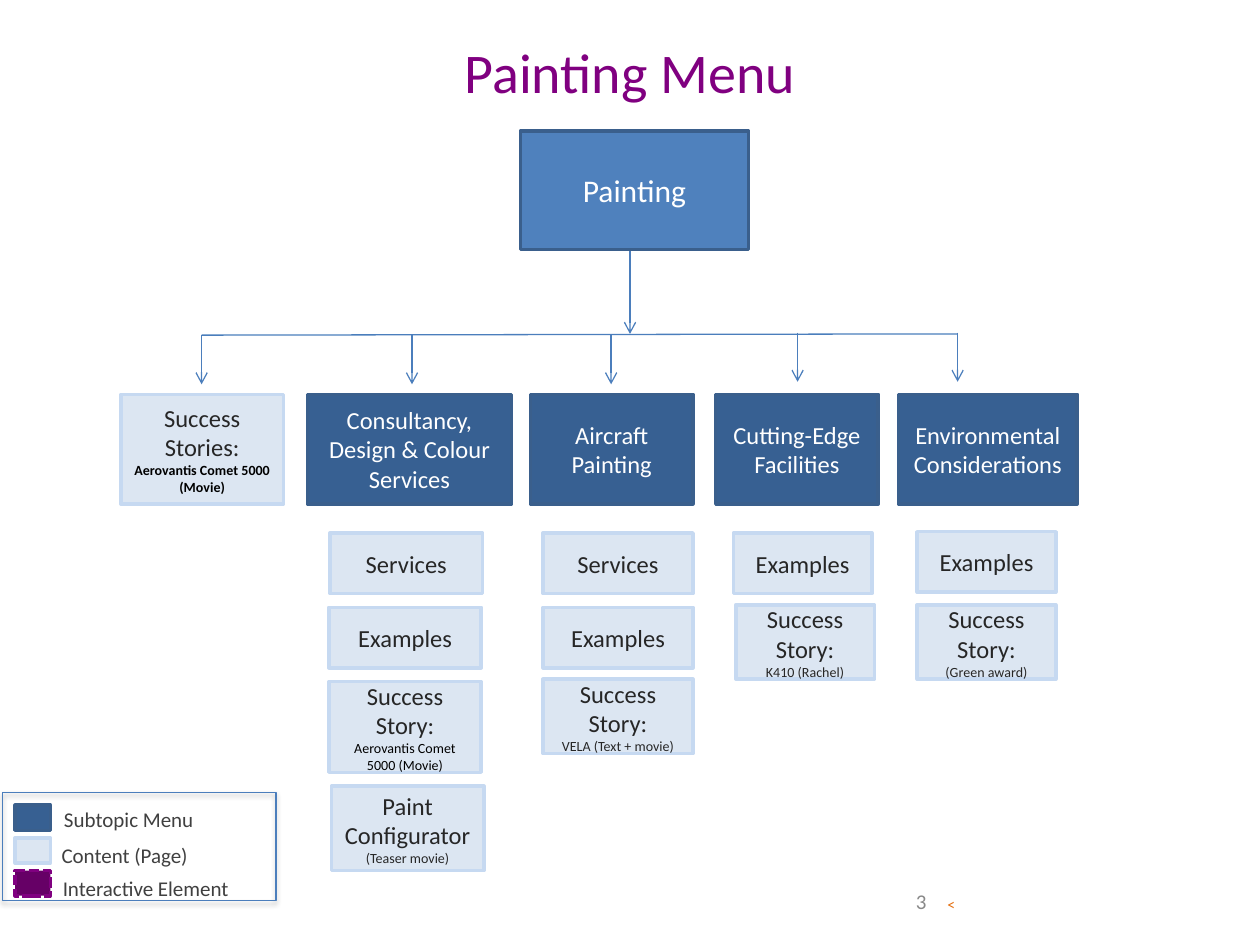
from pptx import Presentation
from pptx import util as u
from pptx.dml.color import RGBColor
from pptx.enum import dml, shapes, text
from pptx.oxml import parse_xml
from pptx.oxml.ns import nsdecls

WHITE = RGBColor(0xFF, 0xFF, 0xFF)
BLACK = RGBColor(0, 0, 0)
DARK_TEXT = RGBColor(0x26, 0x26, 0x26)
LEGEND_TEXT = RGBColor(0x40, 0x40, 0x40)
GREY = RGBColor(0x89, 0x89, 0x89)
ORANGE = RGBColor(0xE4, 0x6C, 0x0A)
PURPLE = RGBColor(0x80, 0x00, 0x80)
DEEP_PURPLE = RGBColor(0x66, 0x00, 0x66)
ROOT_BLUE = RGBColor(0x4F, 0x81, 0xBD)
MENU_BLUE = RGBColor(0x37, 0x60, 0x92)
MENU_EDGE = RGBColor(0x3A, 0x5F, 0x8C)
PAGE_BLUE = RGBColor(0xDC, 0xE6, 0xF2)
PAGE_EDGE = RGBColor(0xC6, 0xD9, 0xF1)
LINE_BLUE = RGBColor(0x4B, 0x7E, 0xBC)

ROOT = (ROOT_BLUE, MENU_EDGE)
MENU = (MENU_BLUE, MENU_EDGE)
PAGE = (PAGE_BLUE, PAGE_EDGE)
INTERACTIVE = (DEEP_PURPLE, PURPLE)

MENU_TOP, MENU_HEIGHT = 3.13, 0.87
FEATURED = "Aerovantis Comet 5000 (Movie)"

SUBTOPICS = [
    (2.44, 1.62, "Consultancy, Design & Colour Services"),
    (4.21, 1.29, "Aircraft Painting"),
    (5.68, 1.29, "Cutting-Edge Facilities"),
    (7.13, 1.42, "Environmental Considerations"),
]

SERVICES = [("Services", 14, DARK_TEXT)]
EXAMPLES = [("Examples", 14, DARK_TEXT)]


def story(detail, color=DARK_TEXT):
    return [("Success Story:", 14, DARK_TEXT), (detail, 8, color)]


PAGES = [
    (2.62, 4.23, 1.21, 0.48, SERVICES),
    (2.61, 4.82, 1.21, 0.48, EXAMPLES),
    (2.61, 5.41, 1.21, 0.72, story(FEATURED, BLACK)),
    (4.31, 4.23, 1.19, 0.48, SERVICES),
    (4.31, 4.82, 1.19, 0.48, EXAMPLES),
    (4.31, 5.39, 1.19, 0.59, story("VELA (Text + movie)")),
    (5.82, 4.23, 1.1, 0.48, EXAMPLES),
    (5.84, 4.8, 1.1, 0.59, story("K410 (Rachel)")),
    (7.28, 4.22, 1.1, 0.48, EXAMPLES),
    (7.28, 4.8, 1.1, 0.59, story("(Green award)")),
]

BRANCHES = [(1.6, 2.66), (3.27, 2.66), (4.85, 2.66), (6.33, 2.64), (7.6, 2.64)]

LEGEND = [
    (MENU, "Subtopic Menu", 0.41, 6.29, 1.76, 0.34),
    (PAGE, "Content (Page)", 0.39, 6.58, 1.64, 0.36),
    (INTERACTIVE, "Interactive Element", 0.4, 6.84, 1.64, 0.36),
]


def inches(*lengths):
    return [u.Inches(length) for length in lengths]


def add_run(paragraph, wording, size, color, bold=False):
    run = paragraph.add_run()
    run.text = wording
    run.font.name = "Calibri"
    run.font.size = u.Pt(size)
    run.font.color.rgb = color
    run.font.bold = bold


def add_box(slide, place, style, lines=()):
    box = slide.shapes.add_shape(shapes.MSO_SHAPE.RECTANGLE, *inches(*place))
    box.shadow.inherit = False
    fill, edge = style
    box.fill.solid()
    box.fill.fore_color.rgb = fill
    box.line.color.rgb = edge
    box.line.width = u.Pt(2)
    frame = box.text_frame
    frame.word_wrap = True
    frame.vertical_anchor = text.MSO_ANCHOR.MIDDLE
    for index, line in enumerate(lines):
        paragraph = frame.add_paragraph() if index else frame.paragraphs[0]
        paragraph.alignment = text.PP_ALIGN.CENTER
        add_run(paragraph, *line)
    return box


def add_label(slide, place, wording, size, color, anchor=text.MSO_ANCHOR.TOP):
    label = slide.shapes.add_textbox(*inches(*place))
    frame = label.text_frame
    frame.word_wrap = True
    frame.vertical_anchor = anchor
    add_run(frame.paragraphs[0], wording, size, color)
    return label


def add_line(slide, start, end, arrow=True):
    line = slide.shapes.add_connector(
        shapes.MSO_CONNECTOR.STRAIGHT, *inches(*start, *end))
    line.line.color.rgb = LINE_BLUE
    line.line.width = u.Pt(0.75)
    properties = line.line._get_or_add_ln()
    if arrow:
        properties.append(parse_xml(f'<a:tailEnd {nsdecls("a")} type="arrow"/>'))
    properties.addnext(parse_xml(f'<a:effectLst {nsdecls("a")}/>'))


def add_legend(slide):
    for row, (style, wording, *place) in enumerate(LEGEND):
        swatch = add_box(slide, (0.12, 6.39 + 0.26 * row, 0.28, 0.2), style)
        if style is INTERACTIVE:
            swatch.line.dash_style = dml.MSO_LINE.SQUARE_DOT
        label = add_label(slide, place, wording, 12, LEGEND_TEXT)
        label.text_frame.auto_size = text.MSO_AUTO_SIZE.SHAPE_TO_FIT_TEXT
        paragraph = label.text_frame.paragraphs[0]
        paragraph.line_spacing = 1.3
        paragraph.space_before = u.Pt(2.4)
    border = slide.shapes.add_shape(
        shapes.MSO_SHAPE.RECTANGLE, *inches(0.02, 6.29, 2.17, 0.86))
    border.fill.background()
    border.line.color.rgb = LINE_BLUE
    border.line.width = u.Pt(0.75)
    border.line._get_or_add_ln().addnext(parse_xml(
        f'<a:effectLst {nsdecls("a")}>'
        f'<a:outerShdw blurRad="{u.Pt(3.1)}" dist="{u.Pt(1.8)}" dir="5400000" '
        'rotWithShape="0"><a:srgbClr val="000000"><a:alpha val="35000"/>'
        '</a:srgbClr></a:outerShdw></a:effectLst>'))


def main():
    deck = Presentation()
    deck.slide_width, deck.slide_height = inches(10, 7.5)
    slide = deck.slides.add_slide(deck.slide_layouts[6])

    title = add_label(slide, (0.5, 0.25, 9, 1.25), "Painting Menu", 32, PURPLE)
    title.text_frame.paragraphs[0].alignment = text.PP_ALIGN.CENTER

    add_line(slide, (5, 1.62), (5, 2.65))
    add_line(slide, (1.6, 2.66), (7.6, 2.65), arrow=False)
    for x, top in BRANCHES:
        add_line(slide, (x, top), (x, top + 0.39))

    add_box(slide, (4.13, 1.04, 1.81, 0.94), ROOT, [("Painting", 18, WHITE)])
    add_box(slide, (0.96, MENU_TOP, 1.29, MENU_HEIGHT), PAGE,
            [("Success Stories:", 14, DARK_TEXT), (FEATURED, 8, BLACK, True)])
    for left, width, wording in SUBTOPICS:
        add_box(slide, (left, MENU_TOP, width, MENU_HEIGHT), MENU,
                [(wording, 14, WHITE)])
    for *place, lines in PAGES:
        add_box(slide, place, PAGE, lines)
    configurator = add_box(slide, (2.63, 6.24, 1.21, 0.67), PAGE,
                           [("Paint Configurator ", 14, DARK_TEXT)])
    add_run(configurator.text_frame.paragraphs[0], "(Teaser movie)", 8, DARK_TEXT)

    add_legend(slide)
    middle = text.MSO_ANCHOR.MIDDLE
    add_label(slide, (7.17, 6.95, 2.33, 0.4), "3", 12, GREY, middle)
    add_label(slide, (7.42, 7.03, 0.3, 0.3), "<", 9, ORANGE, middle)
    deck.save("out.pptx")


if __name__ == "__main__":
    main()
